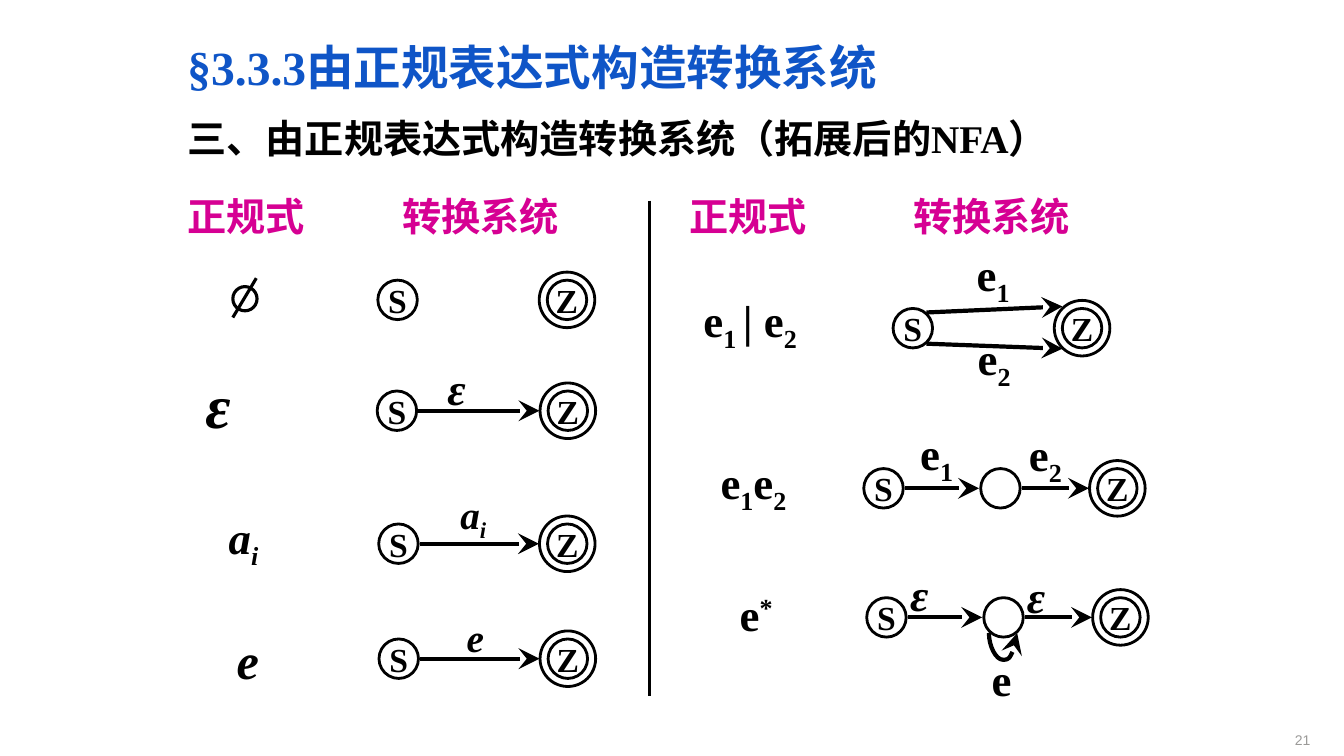
import lxml.etree
import pptx
import pptx.dml.color
import pptx.enum.shapes
import pptx.enum.text
import pptx.oxml.ns
import pptx.util

Pt = pptx.util.Pt
qn = pptx.oxml.ns.qn
ALIGN = pptx.enum.text.PP_ALIGN
ANCHOR = pptx.enum.text.MSO_ANCHOR
FIT = pptx.enum.text.MSO_AUTO_SIZE
CONNECTOR = pptx.enum.shapes.MSO_CONNECTOR
OVAL = pptx.enum.shapes.MSO_SHAPE.OVAL

COLORS = {"ink": "000000", "title": "0F55C7", "heading": "D60093", "page": "9B9A98"}
SERIF, SANS = "Times New Roman", "Arial"
STATE, FINAL = 28.2, 39.7  # diameters of a state and of the outer final ring
STATE_GAP, FINAL_GAP = 15.3, 20.3  # from a centre to the end of an arrow
E1, E2 = [("e", 0), ("1", -25)], [("e", 0), ("2", -25)]
A_I = [("a", 0), ("i", -25)]

# Each system: centre height, then the centres of its states, left to right
SYSTEMS = {
    "empty": (214.2, [284.0, 405.0]),
    "epsilon": (293.4, [283.5, 405.6]),
    "symbol": (388.4, [284.6, 405.2]),
    "expression": (470.5, [284.8, 405.6]),
    "union": (234.4, [652.0, 772.9]),
    "concatenation": (348.8, [631.1, 714.6, 798.1]),
    "closure": (441.0, [633.2, 716.8, 800.3]),
}

# Runs with their baseline shift, then left, top, width, size, italic
LABELS = [
    ([("ε", 0)], 312.5, 254.2, 51, 32, True),
    ([("ε", 0)], 139.7, 258.5, 51, 44, True),
    (A_I, 321.8, 346.3, 51, 28, True),
    (A_I, 156.2, 360.7, 51, 32, True),
    ([("e", 0)], 162, 445.7, 51, 36, True),
    ([("e", 0)], 326.2, 434.2, 51, 28, True),
    (E1 + E2, 507.6, 321.1, 73.4, 32, False),
    ([("e", 0), ("*", 30)], 521.3, 415.4, 46, 32, False),
    ([("e", 0), ("1 ", -25), ("| e", 0), ("2", -25)], 495.4, 205.2, 85.7, 32, False),
    ([("e", 0)], 701.3, 462.2, 33.1, 32, False),
    ([("ε", 0)], 643, 401, 51, 32, True),
    ([("ε", 0)], 726.5, 402.5, 51, 32, True),
]
EDGE_LABELS = [(E1, 690.5, 172.8), (E2, 691.2, 232.6), (E1, 650.2, 300.2), (E2, 727.9, 301)]
HEADINGS = [("正规式", 126.7, 110), ("转换系统", 280.1, 152.6),
            ("正规式", 485.3, 110), ("转换系统", 645.1, 152.6)]


def apply_format(target, values):
    for attribute, value in values.items():
        setattr(target, attribute, value)


def add_run(paragraph, text, size, font=SERIF, color="ink", bold=True, italic=False, shift=0):
    run = paragraph.add_run()
    run.text = text
    apply_format(run.font, {"size": Pt(size), "name": font, "bold": bold, "italic": italic})
    run.font.color.rgb = pptx.dml.color.RGBColor.from_string(COLORS[color])
    if shift:
        run.font._element.set("baseline", str(shift * 1000))


def add_label(slide, runs, left, top, width, size, italic=False, wrap=True, **style):
    label = slide.shapes.add_textbox(Pt(left), Pt(top), Pt(width), Pt(size * 1.2 + 7.2))
    apply_format(label.text_frame, {"word_wrap": wrap, "auto_size": FIT.SHAPE_TO_FIT_TEXT})
    for text, shift in runs:
        add_run(label.text_frame.paragraphs[0], text, size, italic=italic, shift=shift, **style)


def fill_placeholder(placeholder, text, top, height, size, color):
    """Place a template placeholder and set its one hanging line without a bullet."""
    apply_format(placeholder, {"left": Pt(126.7), "top": Pt(top),
                               "width": Pt(696.2), "height": Pt(height)})
    apply_format(placeholder.text_frame, {"word_wrap": True, "auto_size": FIT.NONE,
                                          "vertical_anchor": ANCHOR.TOP})
    line = placeholder.text_frame.paragraphs[0]
    properties = line._p.get_or_add_pPr()
    properties.set("marL", str(Pt(27)))
    properties.set("indent", str(Pt(-27)))
    lxml.etree.SubElement(properties, qn("a:buNone"))
    apply_format(line, {"alignment": ALIGN.LEFT, "line_spacing": 1.2, "space_before": Pt(0)})
    add_run(line, text, size, color=color)


def add_circle(shapes, x, y, diameter, name="", weight=2):
    circle = shapes.add_shape(OVAL, Pt(x - diameter / 2), Pt(y - diameter / 2),
                              Pt(diameter), Pt(diameter))
    circle.shadow.inherit = False
    circle.fill.background()
    circle.line.color.rgb = pptx.dml.color.RGBColor.from_string(COLORS["ink"])
    circle.line.width = Pt(weight)
    if name:
        apply_format(circle.text_frame, {"word_wrap": False, "vertical_anchor": ANCHOR.MIDDLE})
        caption = circle.text_frame.paragraphs[0]
        caption.alignment = ALIGN.CENTER
        add_run(caption, name, 24)


def add_line(shapes, x1, y1, x2, y2, weight=3, arrow=True, kind=CONNECTOR.STRAIGHT):
    line = shapes.add_connector(kind, Pt(x1), Pt(y1), Pt(x2), Pt(y2))
    line.line.color.rgb = pptx.dml.color.RGBColor.from_string(COLORS["ink"])
    line.line.width = Pt(weight)
    lxml.etree.SubElement(line._element.spPr, qn("a:effectLst"))
    if arrow:
        lxml.etree.SubElement(line.line._get_or_add_ln(), qn("a:tailEnd"),
                              {"type": "stealth", "w": "lg", "len": "lg"})
    return line


def add_loop(shapes, x, y, span):
    """Draw a curved arrow that hangs below y, turned a quarter from its upright frame."""
    loop = add_line(shapes, x, y - span / 2, x + 0.12, y + span / 2, kind=CONNECTOR.CURVE)
    frame = loop._element.spPr.find(qn("a:xfrm"))
    frame.set("rot", str(270 * 60000))
    frame.set("flipH", "1")
    adjustments = loop._element.spPr.find(qn("a:prstGeom")).find(qn("a:avLst"))
    lxml.etree.SubElement(adjustments, qn("a:gd"), {"name": "adj1", "fmla": "val 16900000"})


def add_system(slide, y, centers):
    start, *middle, final = centers
    add_circle(slide.shapes, start, y, STATE, "S")
    for x in middle:
        add_circle(slide.shapes, x, y, STATE)
    rings = slide.shapes.add_group_shape().shapes
    add_circle(rings, final, y, FINAL)
    add_circle(rings, final, y, STATE, "Z")


def add_transitions(slide, y, centers):
    for source, target in zip(centers, centers[1:]):
        gap = FINAL_GAP if target == centers[-1] else STATE_GAP
        add_line(slide.shapes, source + STATE_GAP, y, target - gap, y)


def add_empty_set(slide):
    symbol = slide.shapes.add_group_shape().shapes
    add_circle(symbol, 175, 213.4, 17.3, weight=2.25)
    add_line(symbol, 183.1, 198.7, 166.3, 226.8, weight=2.25, arrow=False)


def add_page_number(slide):
    page = slide.shapes.add_textbox(Pt(856.1), Pt(505.4), Pt(79.9), Pt(28.8)).text_frame
    apply_format(page, {"margin_left": 0, "margin_right": 0, "margin_top": 0, "margin_bottom": 0,
                        "word_wrap": True, "vertical_anchor": ANCHOR.BOTTOM})
    page.paragraphs[0].alignment = ALIGN.RIGHT
    add_run(page.paragraphs[0], "21", 10, SANS, "page", bold=False)


def main():
    deck = pptx.Presentation()
    apply_format(deck, {"slide_width": Pt(960), "slide_height": Pt(540)})
    slide = deck.slides.add_slide(deck.slide_layouts[1])
    fill_placeholder(slide.shapes.title, "§3.3.3由正规表达式构造转换系统", 15.1, 61.9, 34, "title")
    fill_placeholder(slide.placeholders[1], "三、由正规表达式构造转换系统（拓展后的NFA）",
                     71.3, 116.6, 28, "ink")

    for text, left, width in HEADINGS:
        add_label(slide, [(text, 0)], left, 133.9, width, 28, font=SANS, color="heading")
    add_line(slide.shapes, 463.7, 143.3, 463.7, 497.5, weight=2, arrow=False)

    add_empty_set(slide)
    for name, (y, centers) in SYSTEMS.items():
        add_system(slide, y, centers)
        if name not in ("empty", "union"):
            add_transitions(slide, y, centers)
    for y1, y2 in [(223.2, 218.9), (245.5, 249.1)]:
        add_line(slide.shapes, 661.7, y1, 758.9, y2)
    add_loop(slide.shapes, 716.4, 452.2, 20.2)

    for label in LABELS:
        add_label(slide, *label)
    for runs, left, top in EDGE_LABELS:
        add_label(slide, runs, left, top, 39.6, 32, wrap=False)
    add_page_number(slide)
    deck.save("out.pptx")


if __name__ == "__main__":
    main()
